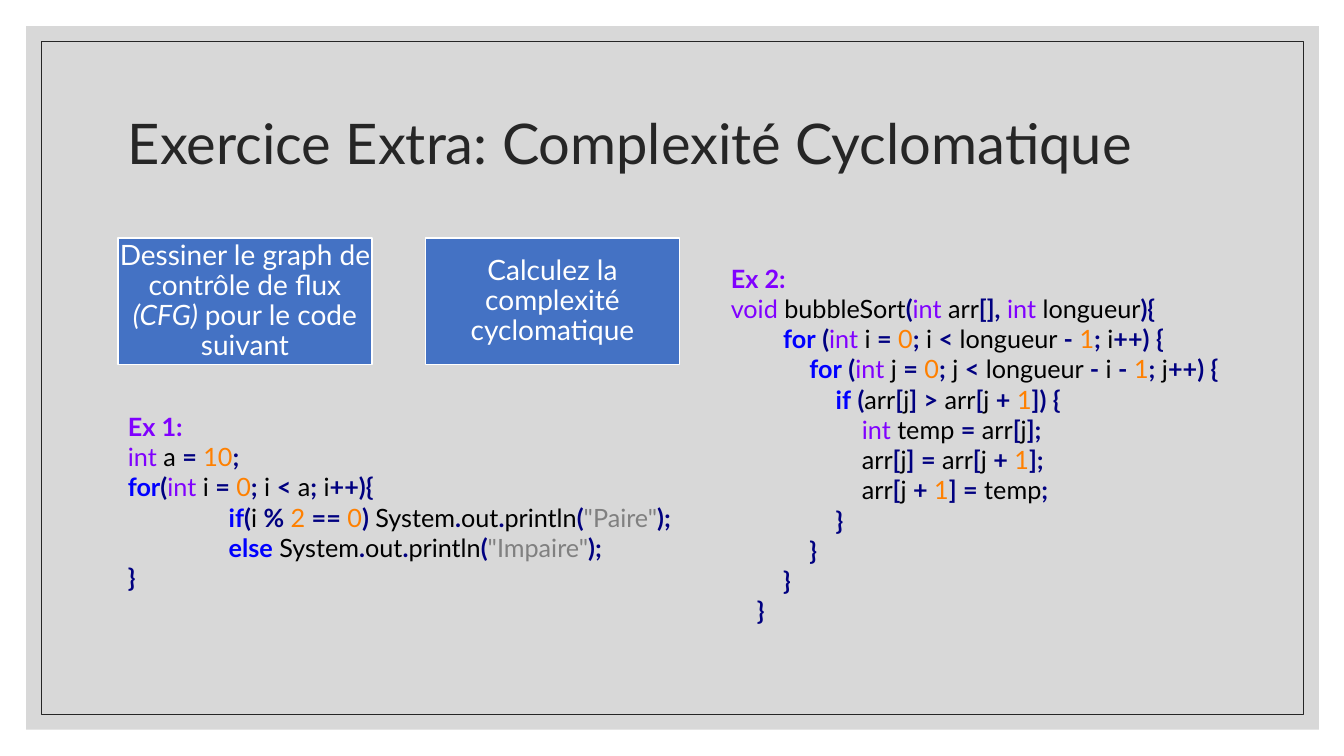
from dataclasses import dataclass
from itertools import groupby
from typing import Any

from lxml.etree import SubElement
from pptx import Presentation
from pptx.dml.color import RGBColor
from pptx.enum.shapes import MSO_SHAPE
from pptx.enum.text import MSO_ANCHOR, PP_ALIGN
from pptx.oxml.ns import qn
from pptx.util import Inches, Pt

HUES = {
    "veil": "BFBFBF", "dark": "262626", "white": "FFFFFF", "blue": "4472C4",
    "type": "8000FF", "key": "0000FF", "sign": "000080",
    "digit": "FF8000", "quote": "808080", "name": "000000",
}
WORDS = {"int": "type", "void": "type", "for": "key", "if": "key", "else": "key"}
BOLD = {"key", "sign"}


@dataclass
class Card:
    left: float
    texts: list[tuple[str, bool]]  # text, italic


@dataclass
class Code:
    left: float
    top: float
    height: float
    step: float  # width of one indent level
    head: str
    lines: list[tuple[int, str]]  # indent level, text


CARDS = [
    Card(1.17, [("Dessiner le graph de contrôle de flux ", False), ("(CFG) ", True),
                ("pour le code suivant", False)]),
    Card(4.22, [("Calculez la complexité cyclomatique", False)]),
]

CODES = [
    Code(1.17, 4.03, 1.92, 1, "Ex 1:", [
        (0, "int a = 10;"),
        (0, "for(int i = 0; i < a; i++){"),
        (1, 'if(i % 2 == 0) System.out.println("Paire");'),
        (1, 'else System.out.println("Impaire");'),
        (0, "}"),
    ]),
    Code(7.15, 2.56, 3.74, 0.26, "Ex 2:", [
        (0, "void bubbleSort(int arr[], int longueur){"),
        (2, "for (int i = 0; i < longueur - 1; i++) {"),
        (3, "for (int j = 0; j < longueur - i - 1; j++) {"),
        (4, "if (arr[j] > arr[j + 1]) {"),
        (5, "int temp = arr[j];"),
        (5, "arr[j] = arr[j + 1];"),
        (5, "arr[j + 1] = temp;"),
        (4, "}"),
        (3, "}"),
        (2, "}"),
        (1, "}"),
    ]),
]


def rgb(hue: str) -> RGBColor:
    return RGBColor.from_string(HUES[hue])


def apply(item: Any, form: dict[str, Any]) -> None:
    for name, value in form.items():
        setattr(item, name, value)


def add_run(para: Any, text: str, size: int, hue: str, **form: bool) -> None:
    run = para.add_run()
    run.text = text
    apply(run.font, {"name": "Lato", "size": Pt(size), **form})
    run.font.color.rgb = rgb(hue)


def add_rect(slide: Any, box: list[float], fill: str = "", line: str = "",
             width: float = 1) -> Any:
    rect = slide.shapes.add_shape(MSO_SHAPE.RECTANGLE, *map(Inches, box))
    rect.shadow.inherit = False
    if fill:
        rect.fill.solid()
        rect.fill.fore_color.rgb = rgb(fill)
    else:
        rect.fill.background()
    if line:
        rect.line.color.rgb = rgb(line)
        rect.line.width = Pt(width)
    else:
        rect.line.fill.background()
    return rect


def add_text(slide: Any, box: list[float], anchor: MSO_ANCHOR) -> Any:
    frame = slide.shapes.add_textbox(*map(Inches, box)).text_frame
    apply(frame, {"word_wrap": True, "vertical_anchor": anchor})
    return frame


def add_card(slide: Any, card: Card) -> None:
    frame = add_rect(slide, [card.left, 2.36, 2.52, 1.26], "blue", "white").text_frame
    edge = Inches(0.01)
    apply(frame, {"word_wrap": True, "vertical_anchor": MSO_ANCHOR.MIDDLE,
                  "margin_left": edge, "margin_right": edge,
                  "margin_top": edge, "margin_bottom": edge})
    para = frame.paragraphs[0]
    apply(para, {"alignment": PP_ALIGN.CENTER, "line_spacing": 0.9})
    for text, slant in card.texts:
        add_run(para, text, 20, "white", italic=slant)


def sort_char(char: str) -> str:
    return "word" if char.isalnum() else "name" if char.isspace() else "sign"


def split_line(line: str) -> list[tuple[str, str]]:
    """Split a line of code into pairs of text and hue."""
    pairs = []
    for spot, piece in enumerate(line.split('"')):
        if spot % 2:
            pairs.append((f'"{piece}"', "quote"))
            continue
        for kind, chars in groupby(piece, sort_char):
            text = "".join(chars)
            if kind == "word":
                kind = "digit" if text.isdigit() else WORDS.get(text, "name")
            pairs.append((text, kind))
    return pairs


def add_code(slide: Any, code: Code) -> None:
    frame = add_text(slide, [code.left, code.top, 6.67, code.height], MSO_ANCHOR.TOP)
    add_run(frame.paragraphs[0], code.head, 18, "type", bold=True)
    for level, line in code.lines:
        para = frame.add_paragraph()
        para._p.get_or_add_pPr().set("marL", str(Inches(level * code.step)))
        for text, hue in split_line(line):
            add_run(para, text, 18, hue, bold=hue in BOLD)


def main() -> None:
    deck = Presentation()
    apply(deck, {"slide_width": Inches(13.33), "slide_height": Inches(7.5)})
    slide = deck.slides.add_slide(deck.slide_layouts[6])

    # Backdrop and frame
    veil = add_rect(slide, [0.26, 0.26, 12.82, 6.98], "veil")
    tint = veil._element.spPr.find(".//" + qn("a:srgbClr"))
    SubElement(tint, qn("a:alpha")).set("val", "60000")
    add_rect(slide, [0.41, 0.41, 12.52, 6.68], line="dark", width=0.5)

    # Title
    title = add_text(slide, [1.17, 0.7, 11, 1.5], MSO_ANCHOR.MIDDLE).paragraphs[0]
    title.line_spacing = 0.9
    add_run(title, "Exercice Extra: Complexité Cyclomatique", 40, "dark")

    # Tasks and code
    for card in CARDS:
        add_card(slide, card)
    for code in CODES:
        add_code(slide, code)

    deck.save("out.pptx")


if __name__ == "__main__":
    main()
